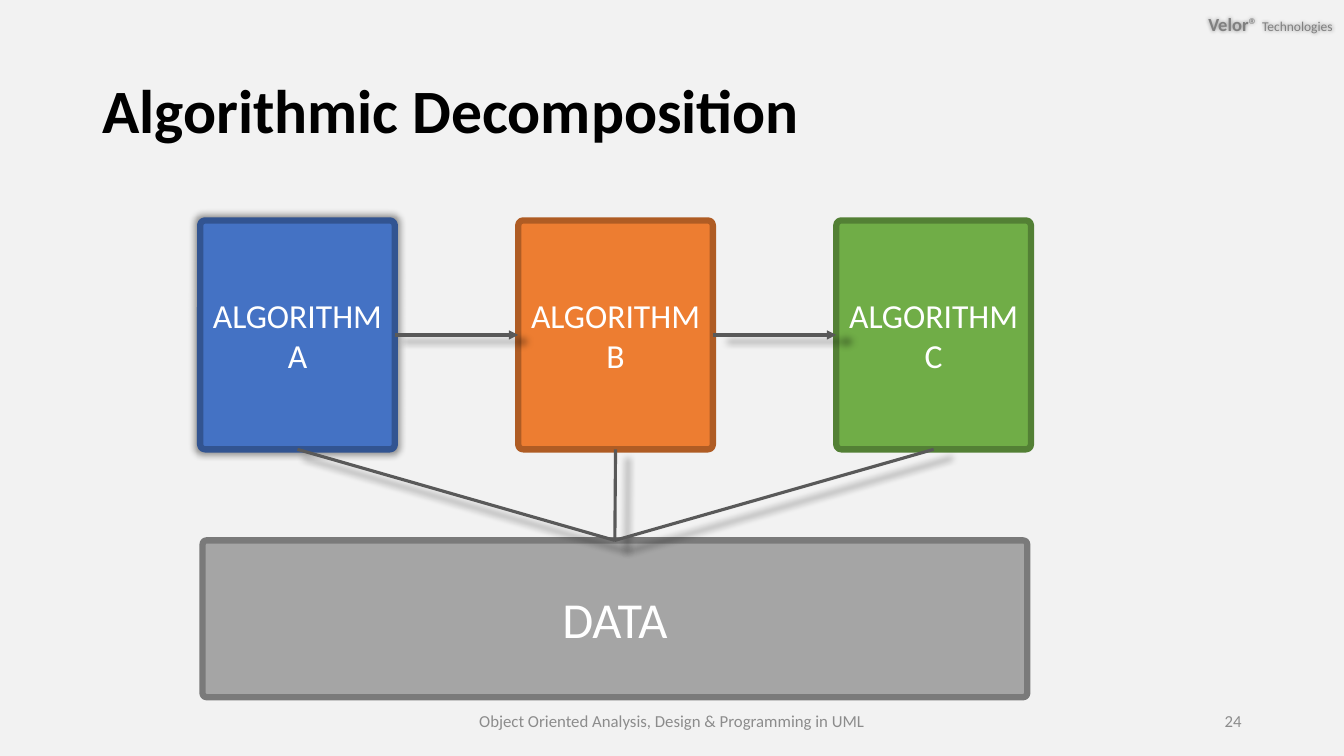
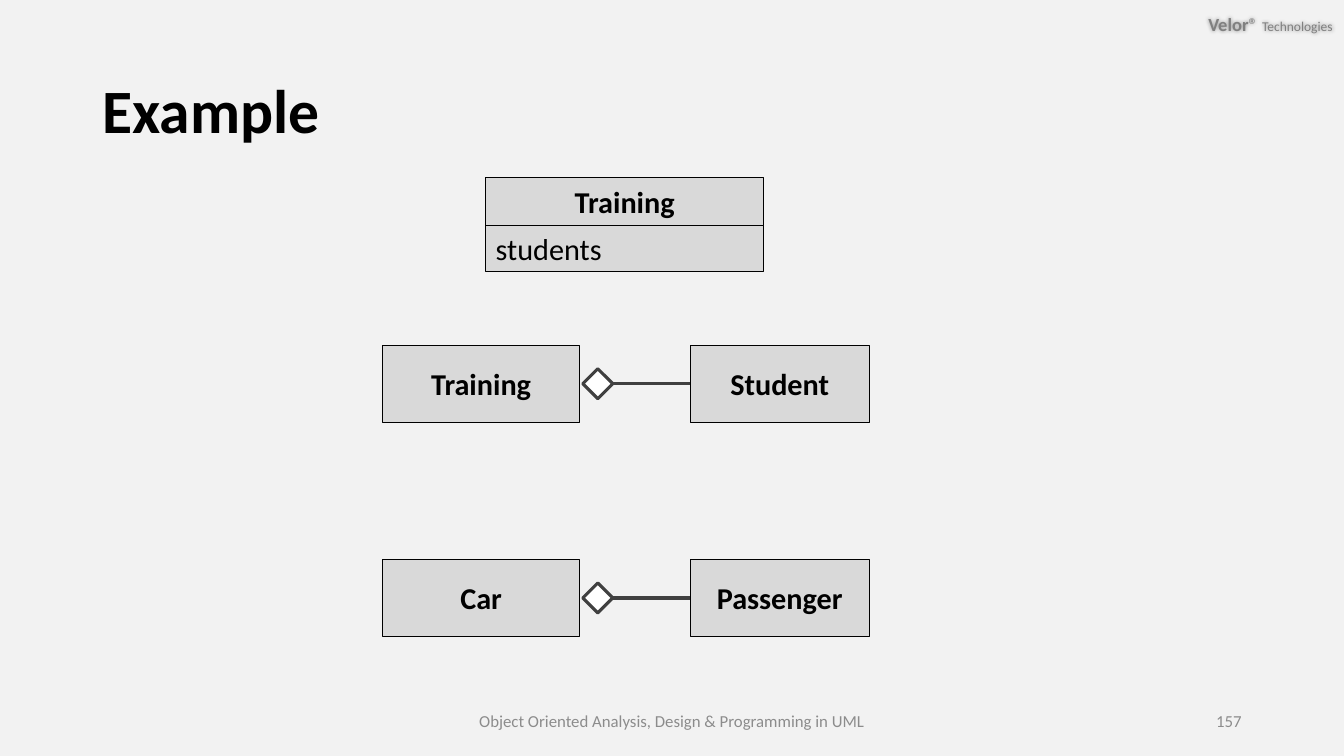
from lxml import etree
from pptx import Presentation
from pptx import util as u
from pptx.dml.color import RGBColor
from pptx.enum import shapes, text
from pptx.oxml.ns import qn

FONT = "Calibri"
BACKGROUND = "F2F2F2"
BLACK, WHITE = "000000", "FFFFFF"
BRAND_GREY, FOOTER_GREY = "808080", "8C8C8C"
FLOW_GREY, UML_GREY, CLASS_FILL = "595959", "404040", "D9D9D9"
FOOTER = "Object Oriented Analysis, Design & Programming in UML"

LEFT, CENTER, RIGHT = text.PP_ALIGN.LEFT, text.PP_ALIGN.CENTER, text.PP_ALIGN.RIGHT
RECTANGLE = shapes.MSO_SHAPE.RECTANGLE
ROUNDED = shapes.MSO_SHAPE.ROUNDED_RECTANGLE
DIAMOND = shapes.MSO_SHAPE.DIAMOND
TOP_SITE, LEFT_SITE, BOTTOM_SITE, RIGHT_SITE = range(4)

ALGORITHMS = [
    ("ALGORITHM A", "4472C4", "325491"),
    ("ALGORITHM B", "ED7D31", "AF5C24"),
    ("ALGORITHM C", "70AD47", "538035"),
]
AGGREGATIONS = [("Training", "Student"), ("Car", "Passenger")]


def color(value):
    return RGBColor.from_string(value)


def points(*values):
    return [u.Pt(value) for value in values]


def set_values(target, values):
    for name, value in values.items():
        setattr(target, name, value)


def set_effects(item, blur=0, scale=100):
    effects = etree.SubElement(item._element.spPr, qn("a:effectLst"))
    if blur:
        shadow = etree.SubElement(
            effects, qn("a:outerShdw"), blurRad=str(u.Pt(blur)),
            sx=str(scale * 1000), sy=str(scale * 1000),
            algn="ctr", rotWithShape="0")
        tone = etree.SubElement(shadow, qn("a:srgbClr"), val=BLACK)
        etree.SubElement(tone, qn("a:alpha"), val="40000")


def write(box, spans, align):
    set_values(box.text_frame, {
        "word_wrap": True, "vertical_anchor": text.MSO_ANCHOR.MIDDLE})
    para = box.text_frame.paragraphs[0]
    para.alignment = align
    for words, size, bold, tone in spans:
        span = para.add_run()
        span.text = words
        set_values(span.font, {"name": FONT, "size": u.Pt(size), "bold": bold})
        span.font.color.rgb = color(tone)
    return para


def add_label(page, place, spans, align):
    box = page.shapes.add_textbox(*points(*place))
    write(box, spans, align)
    return box


def add_box(page, kind, place, fill, line, width, spans=(), align=CENTER, blur=0):
    box = page.shapes.add_shape(kind, *points(*place))
    if kind == ROUNDED:
        box.adjustments[0] = 0.025
    box.fill.solid()
    box.fill.fore_color.rgb = color(fill)
    box.line.color.rgb = color(line)
    box.line.width = u.Pt(width)
    set_effects(box, blur, 102)
    write(box, spans, align)
    return box


def add_class(page, place, words, bold=True, align=CENTER):
    spans = [(words, 21.6, bold, BLACK)]
    return add_box(page, RECTANGLE, place, CLASS_FILL, BLACK, 0.5, spans, align)


def join(page, start, start_site, end, end_site, tone, arrow=False, blur=0):
    link = page.shapes.add_connector(shapes.MSO_CONNECTOR.STRAIGHT, 0, 0, 0, 0)
    link.begin_connect(start, start_site)
    link.end_connect(end, end_site)
    link.line.color.rgb = color(tone)
    link.line.width = u.Pt(2.25)
    if arrow:
        outline = link._element.spPr.find(qn("a:ln"))
        etree.SubElement(outline, qn("a:tailEnd"), type="triangle")
    set_effects(link, blur, 102)


def add_page(deck, title, number):
    page = deck.slides.add_slide(deck.slide_layouts[5])
    heading = page.shapes.title
    set_values(heading, dict(zip(
        ("left", "top", "width", "height"), points(66, 28.8, 828, 104.4))))
    para = write(heading, [(title, 44, True, BLACK)], LEFT)
    para.line_spacing = 0.9

    brand = add_label(page, (821.5, 0.7, 139, 32.4), [
        ("Velor", 13.2, True, BRAND_GREY),
        ("® ", 13.2, False, BRAND_GREY),
        ("Technologies", 9.6, False, BRAND_GREY)], RIGHT)
    set_values(brand.text_frame, {
        "margin_left": u.Pt(8.64), "margin_right": u.Pt(8.64),
        "margin_top": u.Pt(4.32), "margin_bottom": u.Pt(4.32)})
    set_effects(brand, 3)

    add_label(page, (318, 500.4, 324, 28.8),
              [(FOOTER, 12, False, FOOTER_GREY)], CENTER)
    add_label(page, (678, 500.4, 216, 28.8),
              [(number, 12, False, FOOTER_GREY)], RIGHT)
    return page


def build_decomposition(deck):
    page = add_page(deck, "Algorithmic Decomposition", "24")
    left, pitch = 143, 227.2
    steps = []
    for index, (name, fill, line) in enumerate(ALGORITHMS):
        place = (left + index * pitch, 157.5, 139, 163.5)
        steps.append(add_box(page, ROUNDED, place, fill, line, 4.5,
                             [(name, 24, False, WHITE)],
                             blur=0 if index else 5))
    data = add_box(page, ROUNDED, (144.7, 386, 589, 112), "A5A5A5", "7A7A7A",
                   4.5, [("DATA", 36, False, WHITE)])
    for step in steps:
        join(page, step, BOTTOM_SITE, data, TOP_SITE, FLOW_GREY, blur=5)
    for start, end in zip(steps, steps[1:]):
        join(page, start, RIGHT_SITE, end, LEFT_SITE, FLOW_GREY, True, 5)


def build_example(deck):
    page = add_page(deck, "Example", "157")
    add_class(page, (347, 126.7, 198.5, 34.3), "Training")
    add_class(page, (347, 161, 198.5, 33), "students", False, LEFT)
    height, size = 54.6, 21.4
    for index, (whole, part) in enumerate(AGGREGATIONS):
        top = 246.8 + index * 153
        add_class(page, (273.4, top, 140.6, height), whole)
        member = add_class(page, (493, top, 128, height), part)
        middle = top + (height - size) / 2
        diamond = add_box(page, DIAMOND, (416.3, middle, size, size),
                          WHITE, UML_GREY, 2.25)
        join(page, diamond, RIGHT_SITE, member, LEFT_SITE, UML_GREY)


def main():
    deck = Presentation()
    deck.slide_width, deck.slide_height = points(960, 540)
    backdrop = deck.slide_master.background.fill
    backdrop.solid()
    backdrop.fore_color.rgb = color(BACKGROUND)
    build_decomposition(deck)
    build_example(deck)
    deck.save("out.pptx")


if __name__ == "__main__":
    main()
